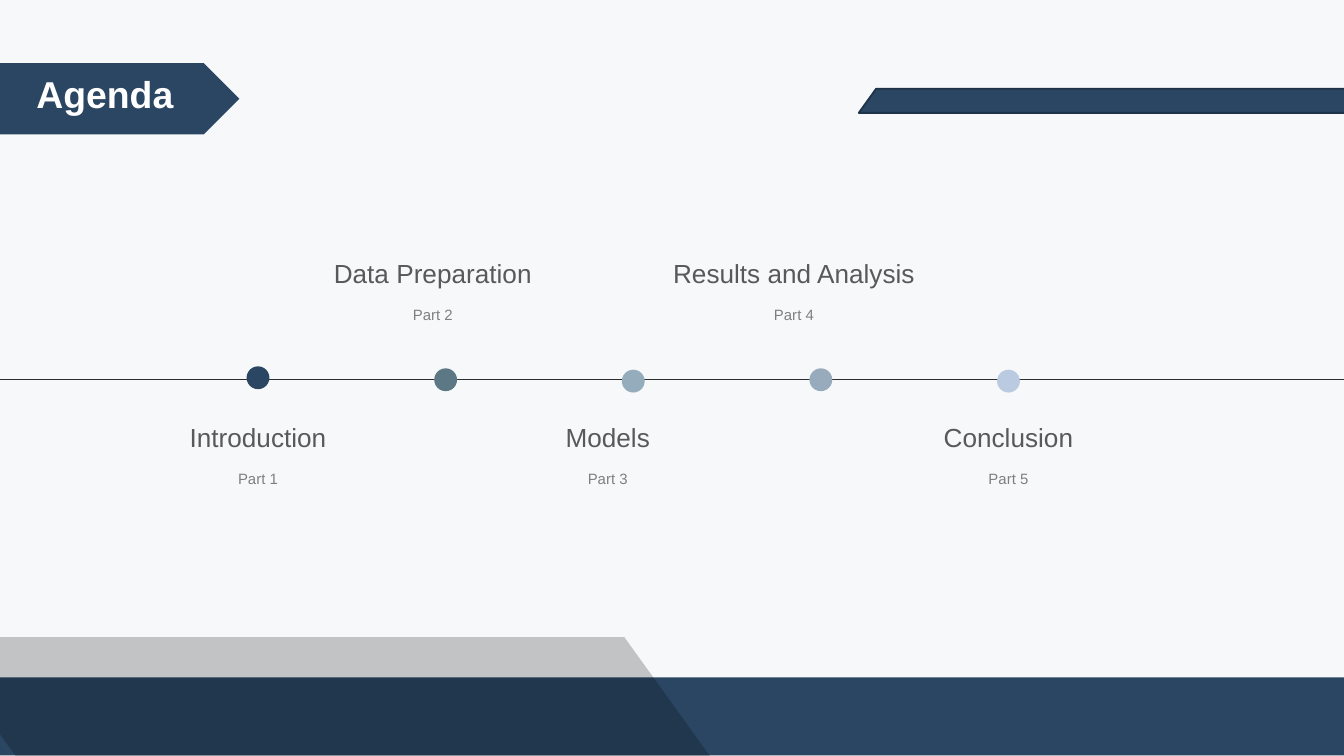
import pptx
import pptx.util
import pptx.dml.color
import pptx.enum.shapes
import pptx.enum.text
import pptx.oxml.ns

CELL = pptx.util.Inches(0.1)
COLS, ROWS = 100, 56.25
NAVY = "2B4663"
KIND = pptx.enum.shapes.MSO_SHAPE
ALIGN = pptx.enum.text.PP_ALIGN
FIT = pptx.enum.text.MSO_AUTO_SIZE
TOP = pptx.enum.text.MSO_ANCHOR.TOP


def tint(part, code):
    if hasattr(part, "solid"):
        part.solid()
        part = part.fore_color
    elif hasattr(part, "color"):
        part = part.color
    part.rgb = pptx.dml.color.RGBColor.from_string(code)


def style(item, form):
    for name, value in form.items():
        setattr(item, name, value)


def spot(box, x, y, wide, high):
    cells = (box[0] + x, box[1] + y, wide, high)
    return [round(cell * CELL) for cell in cells]


def shape(slide, kind, place, fill, edge=None, slant=None):
    item = slide.shapes.add_shape(kind, *place)
    item.shadow.inherit = False
    tint(item.fill, fill)
    if edge:
        tint(item.line, edge)
        item.line.width = pptx.util.Pt(1)
    else:
        item.line.fill.background()
    if slant is not None:
        item.adjustments[0] = slant
    return item


def write(para, text, size, code, align, bold=False):
    para.text = text
    para.alignment = align
    form = {"name": "Arial", "size": pptx.util.Pt(size), "bold": bold}
    style(para.runs[0].font, form)
    tint(para.runs[0].font, code)


def head(slide, box):
    shape(slide, KIND.PENTAGON, spot(box, 0, 0, box[2], box[3]), NAVY, slant=0.5)
    title = slide.shapes.title
    names = ("left", "top", "width", "height")
    style(title, dict(zip(names, spot(box, 1.8, 0.1, 12.8, 5))))
    style(title.text_frame, {"auto_size": FIT.NONE, "vertical_anchor": TOP,
                             "word_wrap": True})
    write(title.text_frame.paragraphs[0], "Agenda", 20, "FFFFFF", ALIGN.LEFT, True)
    slide.shapes._spTree.append(title._element)


def strip(slide, box):
    place = spot(box, 0, 0, box[2], box[3])
    shape(slide, KIND.PARALLELOGRAM, place, NAVY, "1F3348", 0.72)


def foot(slide, box):
    shape(slide, KIND.RECTANGLE, spot(box, 0, 3, box[2], 5.8), NAVY)
    shade = shape(slide, KIND.PARALLELOGRAM, spot(box, -5.2, 0, 58.2, 9.1),
                  "000000", slant=0.72)
    props = shade._element.spPr
    props.find(pptx.oxml.ns.qn("a:xfrm")).set("flipH", "1")
    color = props.find(".//" + pptx.oxml.ns.qn("a:srgbClr"))
    color.append(color.makeelement(pptx.oxml.ns.qn("a:alpha"), {"val": "21000"}))


def label(slide, place, name, part):
    frame = slide.shapes.add_textbox(*place).text_frame
    style(frame, {"word_wrap": True, "auto_size": FIT.SHAPE_TO_FIT_TEXT})
    write(frame.paragraphs[0], name, 14, "595959", ALIGN.CENTER)
    para = frame.add_paragraph()
    write(para, part, 8, "7F7F7F", ALIGN.CENTER)
    para.space_before = pptx.util.Pt(9.2)


def track(slide, box, steps):
    mid, dot, gap = 9.6, 1.7, 13.96
    left, y, wide, _ = spot(box, 0, mid, box[2], 0)
    line = slide.shapes.add_connector(
        pptx.enum.shapes.MSO_CONNECTOR.STRAIGHT, left + wide, y, left, y)
    tint(line.line, "2E2E2E")
    line.line.width = pptx.util.Pt(0.75)
    props = line._element.spPr
    props.append(props.makeelement(pptx.oxml.ns.qn("a:effectLst"), {}))
    for i, (name, code, shift, drop, wide) in enumerate(steps):
        x = 19.2 + i * gap
        shape(slide, KIND.OVAL,
              spot(box, x - dot / 2, mid - dot / 2 + drop, dot, dot), code)
        y = 0 if i % 2 else 12.2
        label(slide, spot(box, x + shift - wide / 2, y, wide, 6.1),
              name, f"Part {i + 1}")


def main():
    deck = pptx.Presentation()
    style(deck, {"slide_width": round(COLS * CELL),
                 "slide_height": round(ROWS * CELL)})
    slide = deck.slides.add_slide(deck.slide_layouts[5])
    tint(slide.background.fill, "F6F8F9")
    steps = [
        ("Introduction", NAVY, 0, -0.15, 19),
        ("Data Preparation", "5C7885", -0.95, 0, 19),
        ("Models", "94ACBC", -1.9, 0.1, 17.9),
        ("Results and Analysis", "97ABBD", -2, 0, 23),
        ("Conclusion", "B9CAE1", 0, 0.1, 23),
    ]
    track(slide, (0, 18.66, COLS, 18.3), steps)
    head(slide, (-0.1, 4.7, 17.9, 5.3))
    foot(slide, (0, 47.4, COLS, 9.1))
    strip(slide, (63.9, 6.6, 37.4, 1.8))
    deck.save("out.pptx")


if __name__ == "__main__":
    main()
